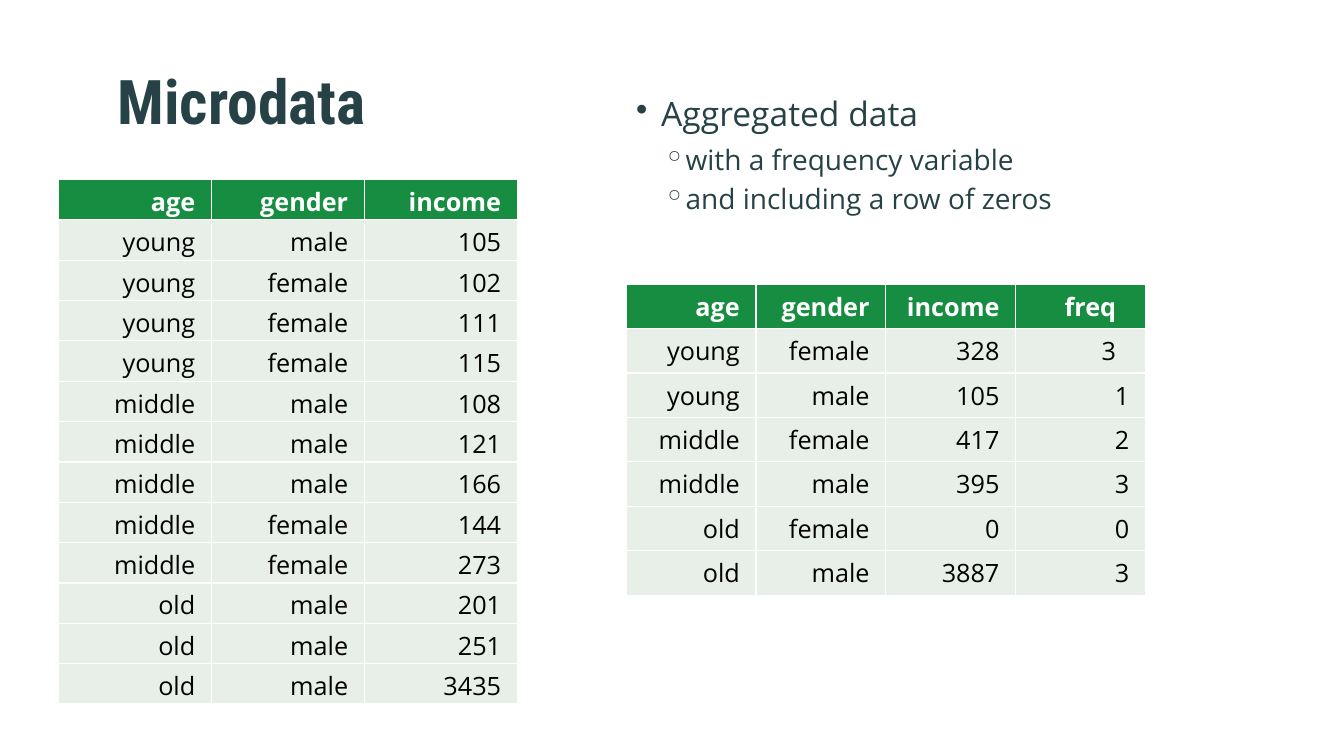
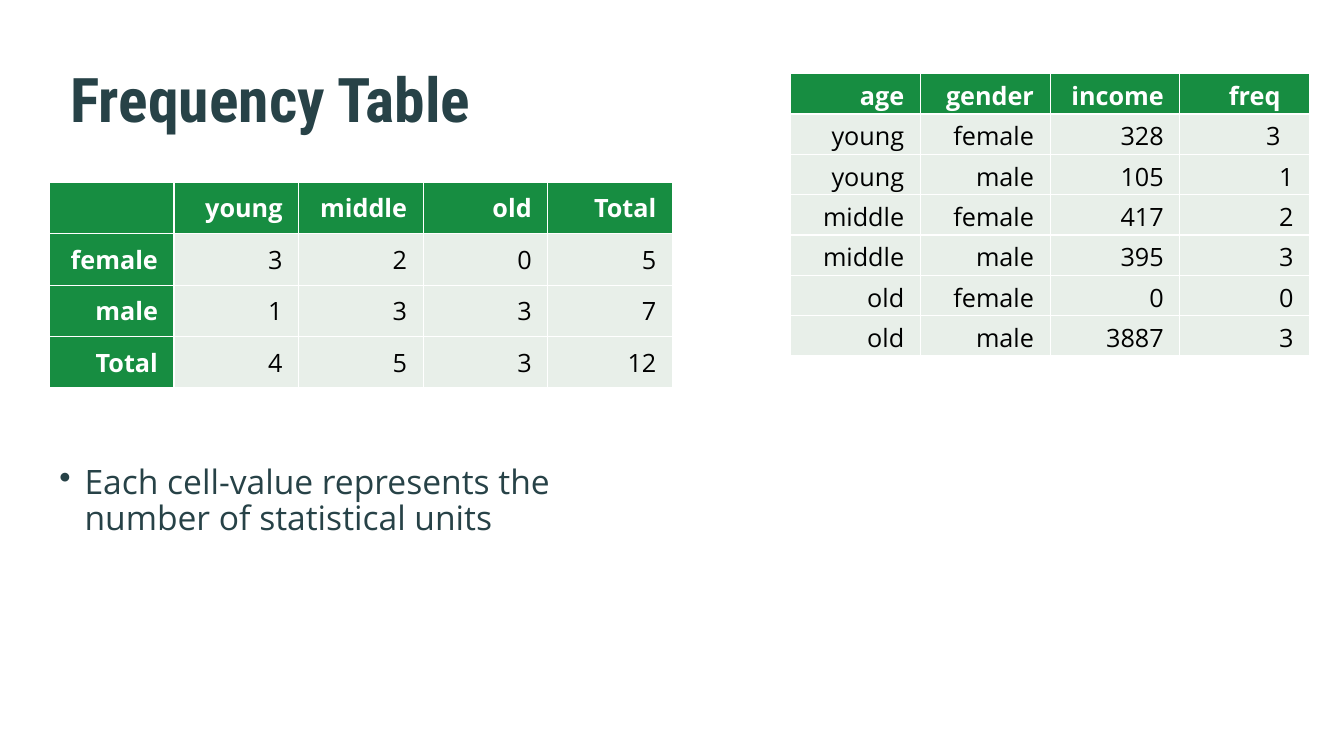
"""Build two slides that compare microdata, aggregated data and a frequency table."""
from dataclasses import dataclass

from lxml import etree
from pptx import Presentation
from pptx import util as u
from pptx.dml.color import RGBColor
from pptx.enum import text as t
from pptx.oxml import ns

PX = 9144
GREEN = RGBColor(0x17, 0x8D, 0x41)
PALE = RGBColor(0xE8, 0xEF, 0xE9)
DARK = RGBColor(0x27, 0x42, 0x47)
BLACK = RGBColor(0, 0, 0)
WHITE = RGBColor(0xFF, 0xFF, 0xFF)
BODY_FONT = "Open Sans"
TITLE_FONT = "Roboto Condensed"
CELL_MARGIN_X, CELL_MARGIN_Y = 16, 5
WIDE_MARGIN = 29

MICRODATA = [
    ("age", "gender", "income"),
    ("young", "male", "105"),
    ("young", "female", "102"),
    ("young", "female", "111"),
    ("young", "female", "115"),
    ("middle", "male", "108"),
    ("middle", "male", "121"),
    ("middle", "male", "166"),
    ("middle", "female", "144"),
    ("middle", "female", "273"),
    ("old", "male", "201"),
    ("old", "male", "251"),
    ("old", "male", "3435"),
]
AGGREGATED = [
    ("age", "gender", "income", "freq"),
    ("young", "female", "328", "3"),
    ("young", "male", "105", "1"),
    ("middle", "female", "417", "2"),
    ("middle", "male", "395", "3"),
    ("old", "female", "0", "0"),
    ("old", "male", "3887", "3"),
]
FREQUENCIES = [
    ("", "young", "middle", "old", "Total"),
    ("female", "3", "2", "0", "5"),
    ("male", "1", "3", "3", "7"),
    ("Total", "4", "5", "3", "12"),
]


@dataclass(frozen=True)
class Box:
    left: int
    top: int
    width: int
    height: int

    def emu(self) -> tuple[int, ...]:
        return tuple(px(n) for n in (self.left, self.top, self.width, self.height))


@dataclass(frozen=True)
class BulletLevel:
    char: str
    size: int
    margin: int
    hanging: int
    space_after: int


@dataclass(frozen=True)
class DataTable:
    box: Box
    rows: list[tuple[str, ...]]
    header_column: bool = False
    wide_margin_cells: tuple[tuple[int, int], ...] = ()


LEVELS = (BulletLevel("•", 24, 25, 25, 9), BulletLevel("◦", 20, 43, 16, 6))


def px(length: int) -> u.Emu:
    return u.Emu(length * PX)


def write(paragraph, text: str, *, size: int, color: RGBColor = DARK, font: str = BODY_FONT,
          bold: bool = False, align=t.PP_ALIGN.LEFT, line_spacing: float = 1.0) -> None:
    paragraph.alignment = align
    paragraph.line_spacing = line_spacing
    run = paragraph.add_run()
    run.text = text
    run.font.name = font
    run.font.size = u.Pt(size)
    run.font.bold = bold
    run.font.color.rgb = color


def add_title(slide, text: str, box: Box) -> None:
    frame = slide.shapes.add_textbox(*box.emu()).text_frame
    frame.word_wrap = True
    frame.vertical_anchor = t.MSO_ANCHOR.MIDDLE
    frame.margin_top = 0
    write(frame.paragraphs[0], text, size=44, font=TITLE_FONT, bold=True, line_spacing=0.9)


def add_bullets(slide, box: Box, items: list[tuple[int, str]]) -> None:
    frame = slide.shapes.add_textbox(*box.emu()).text_frame
    frame.word_wrap = True
    for index, (depth, text) in enumerate(items):
        level = LEVELS[depth]
        paragraph = frame.add_paragraph() if index else frame.paragraphs[0]
        paragraph.level = depth
        write(paragraph, text, size=level.size, line_spacing=0.9)
        paragraph.space_after = u.Pt(level.space_after)
        properties = paragraph._p.get_or_add_pPr()
        properties.set("marL", str(px(level.margin)))
        properties.set("indent", str(-px(level.hanging)))
        etree.SubElement(properties, ns.qn("a:buChar"), char=level.char)


def add_borders(cell) -> None:
    properties = cell._tc.get_or_add_tcPr()
    for index, side in enumerate(("lnL", "lnR", "lnT", "lnB")):
        line = etree.Element(ns.qn(f"a:{side}"), w=str(u.Pt(1)))
        fill = etree.SubElement(line, ns.qn("a:solidFill"))
        etree.SubElement(fill, ns.qn("a:srgbClr"), val=str(WHITE))
        properties.insert(index, line)


def add_data_table(slide, data: DataTable) -> None:
    row_count, column_count = len(data.rows), len(data.rows[0])
    table = slide.shapes.add_table(row_count, column_count, *data.box.emu()).table
    table.horz_banding = False
    table.first_col = data.header_column
    for row, values in enumerate(data.rows):
        for column, value in enumerate(values):
            header = row == 0 or (data.header_column and column == 0)
            wide = (row, column) in data.wide_margin_cells
            cell = table.cell(row, column)
            cell.vertical_anchor = t.MSO_ANCHOR.MIDDLE
            cell.margin_left = px(CELL_MARGIN_X)
            cell.margin_right = px(WIDE_MARGIN if wide else CELL_MARGIN_X)
            cell.margin_top = cell.margin_bottom = px(CELL_MARGIN_Y)
            cell.fill.solid()
            cell.fill.fore_color.rgb = GREEN if header else PALE
            add_borders(cell)
            if value:
                write(cell.text_frame.paragraphs[0], value, size=18, bold=header,
                      color=WHITE if header else BLACK, align=t.PP_ALIGN.RIGHT)


def add_aggregated_table(slide, left: int, top: int) -> None:
    box = Box(left, top, 515, 280)
    add_data_table(slide, DataTable(box, AGGREGATED, wide_margin_cells=((0, 3), (1, 3))))


def build_microdata(slide) -> None:
    add_aggregated_table(slide, 621, 282)
    add_title(slide, "Microdata", Box(107, 35, 1056, 143))
    add_data_table(slide, DataTable(Box(58, 178, 455, 520), MICRODATA))
    add_bullets(slide, Box(621, 92, 478, 132), [
        (0, "Aggregated data"),
        (1, "with a frequency variable"),
        (1, "and including a row of zeros"),
    ])


def build_frequency_table(slide) -> None:
    add_title(slide, "Frequency Table", Box(60, 33, 1056, 143))
    add_data_table(slide, DataTable(Box(49, 181, 618, 204), FREQUENCIES, header_column=True))
    add_bullets(slide, Box(49, 457, 618, 204), [
        (0, "Each cell-value represents the number of statistical units"),
    ])
    add_aggregated_table(slide, 784, 73)


def main() -> None:
    presentation = Presentation()
    presentation.slide_width, presentation.slide_height = px(1333), px(750)
    for build in (build_microdata, build_frequency_table):
        build(presentation.slides.add_slide(presentation.slide_layouts[6]))
    presentation.save("out.pptx")


if __name__ == "__main__":
    main()
